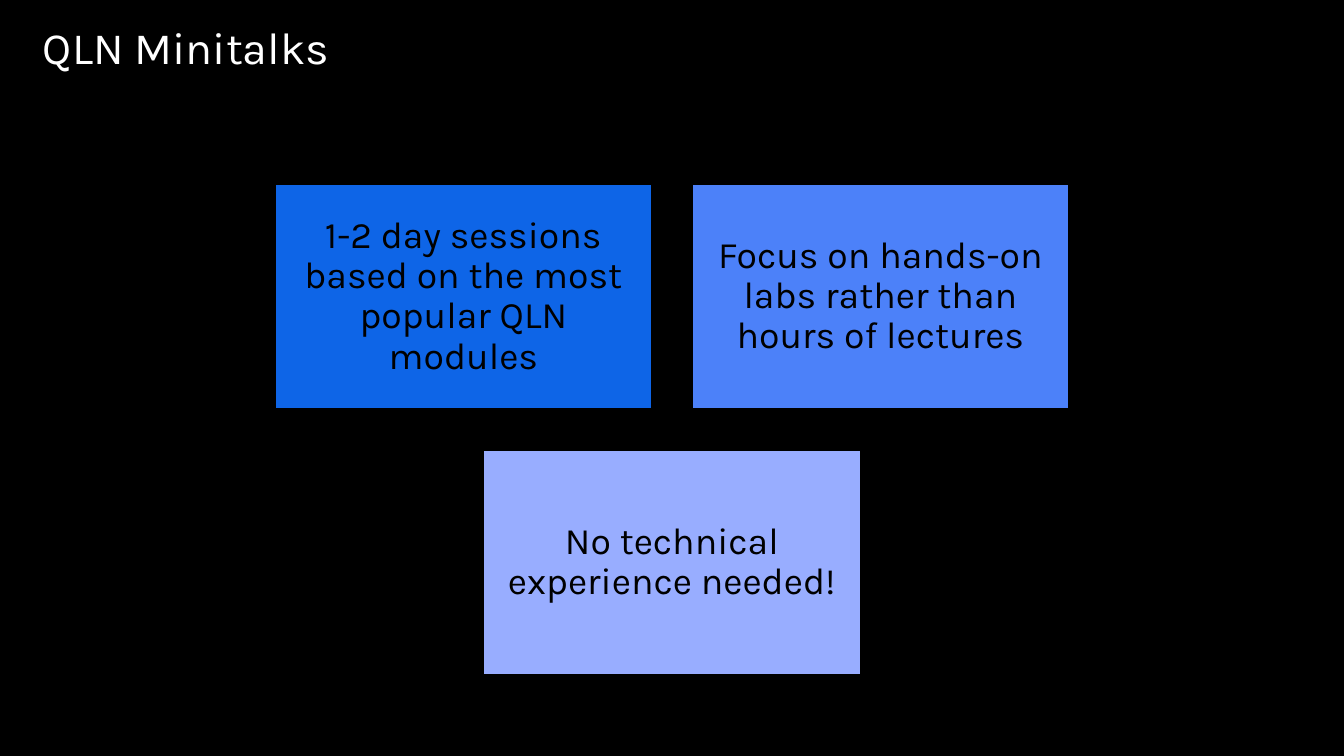
import pptx
import pptx.util
import pptx.dml.color
import pptx.enum.shapes
import pptx.enum.text

TITLE = "QLN Minitalks"
ROWS = [
    [("1-2 day sessions based on the most popular QLN modules", "0E65E7"),
     ("Focus on hands-on labs rather than hours of lectures", "4C81F9")],
    [("No technical experience needed!", "98ADFF")],
]
SLIDE_W, SLIDE_H = 1344, 756
CARD_W, CARD_H = 379, 227
GAP_X, GAP_Y = 38, 39
CARDS_TOP = 183
ALIGN = pptx.enum.text.PP_ALIGN
ANCHOR = pptx.enum.text.MSO_ANCHOR


def px(n):
    return pptx.util.Emu(round(n * 914400 / 134.4))


def color(value):
    return pptx.dml.color.RGBColor.from_string(value)


def write(s, text, size, fill, align=ALIGN.LEFT, anchor=ANCHOR.TOP, inset=0):
    tf = s.text_frame
    tf.word_wrap = True
    tf.vertical_anchor = anchor
    tf.margin_left = tf.margin_right = px(inset)
    tf.margin_top = tf.margin_bottom = px(inset)
    p = tf.paragraphs[0]
    p.alignment = align
    p.line_spacing = 0.9
    r = p.add_run()
    r.text = text
    r.font.name = "Karla"
    r.font.size = pptx.util.Pt(size)
    r.font.color.rgb = color(fill)


def add_card(slide, x, y, text, fill):
    s = slide.shapes.add_shape(pptx.enum.shapes.MSO_SHAPE.RECTANGLE,
                               px(x), px(y), px(CARD_W), px(CARD_H))
    s.shadow.inherit = False
    s.fill.solid()
    s.fill.fore_color.rgb = color(fill)
    s.line.color.rgb = color("000000")
    s.line.width = pptx.util.Pt(2)
    write(s, text, 20, "000000", align=ALIGN.CENTER, anchor=ANCHOR.MIDDLE, inset=11)


def main():
    prs = pptx.Presentation()
    prs.slide_width, prs.slide_height = px(SLIDE_W), px(SLIDE_H)
    slide = prs.slides.add_slide(prs.slide_layouts[6])
    slide.background.fill.solid()
    slide.background.fill.fore_color.rgb = color("000000")

    title = slide.shapes.add_textbox(px(43), px(26), px(1137), px(146))
    write(title, TITLE, 24, "FFFFFF")

    for i, row in enumerate(ROWS):
        row_w = len(row) * (CARD_W + GAP_X) - GAP_X
        left = (SLIDE_W - row_w) / 2
        for j, (text, fill) in enumerate(row):
            add_card(slide, left + j * (CARD_W + GAP_X),
                     CARDS_TOP + i * (CARD_H + GAP_Y), text, fill)

    prs.save("out.pptx")


if __name__ == "__main__":
    main()
